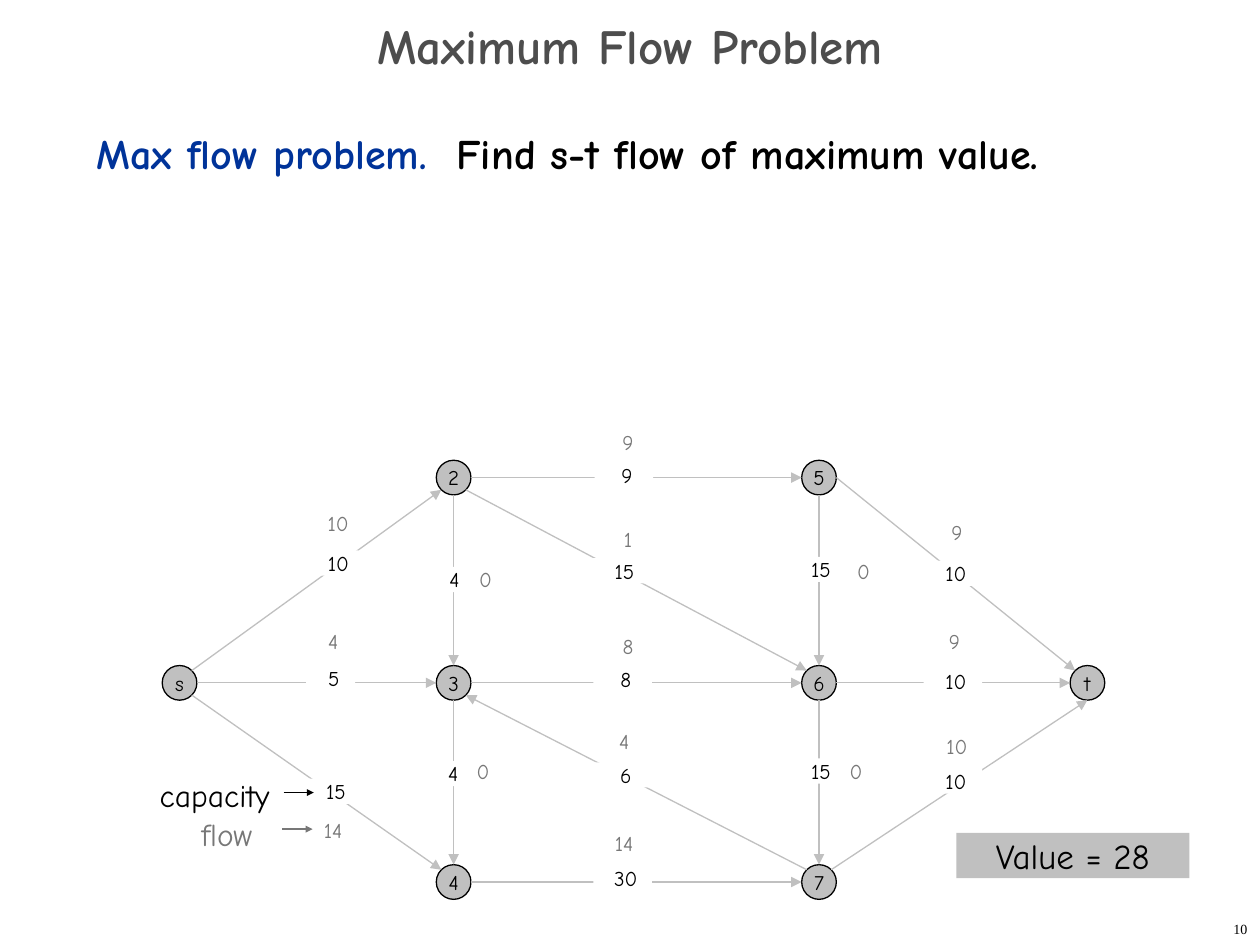
from lxml import etree
from pptx import Presentation
from pptx.dml.color import RGBColor
from pptx.enum.shapes import MSO_CONNECTOR, MSO_SHAPE
from pptx.enum.text import MSO_ANCHOR, MSO_AUTO_SIZE, PP_ALIGN
from pptx.oxml.ns import qn
from pptx.util import Pt

LEFT, CENTER, RIGHT = PP_ALIGN.LEFT, PP_ALIGN.CENTER, PP_ALIGN.RIGHT
TOP, MIDDLE = MSO_ANCHOR.TOP, MSO_ANCHOR.MIDDLE
NO_AUTOFIT = MSO_AUTO_SIZE.NONE
OVAL, RECTANGLE = MSO_SHAPE.OVAL, MSO_SHAPE.RECTANGLE
STRAIGHT = MSO_CONNECTOR.STRAIGHT

FONT = "Comic Neue"
BLACK, WHITE, SILVER, GRAY = "000000", "FFFFFF", "C0C0C0", "777777"
RADIUS = 9.9


def write(shape, runs, size, align=CENTER, anchor=TOP, margins=(0, 0),
          wrap=True, bold=False, font=FONT):
    """Fill a shape with one paragraph of (text, colour) runs."""
    frame = shape.text_frame
    frame.auto_size = NO_AUTOFIT
    frame.word_wrap = wrap
    frame.vertical_anchor = anchor
    frame.margin_left = frame.margin_right = Pt(margins[0])
    frame.margin_top = frame.margin_bottom = Pt(margins[1])
    paragraph = frame.paragraphs[0]
    paragraph.alignment = align
    for text, color in runs:
        run = paragraph.add_run()
        run.text = text
        run.font.name = font
        run.font.size = Pt(size)
        run.font.bold = bold
        run.font.color.rgb = RGBColor.from_string(color)
    return paragraph


def add_arrow(start, end, color, head_size="med"):
    arrow = slide.shapes.add_connector(STRAIGHT, *map(Pt, start + end))
    arrow.line.color.rgb = RGBColor.from_string(color)
    arrow.line.width = Pt(0.75)
    etree.SubElement(arrow.line._get_or_add_ln(), qn("a:tailEnd"),
                     type="triangle", w=head_size, len=head_size)
    etree.SubElement(arrow._element.spPr, qn("a:effectLst"))


presentation = Presentation()
presentation.slide_width, presentation.slide_height = Pt(720), Pt(540)
slide = presentation.slides.add_slide(presentation.slide_layouts[5])

# Title
title = slide.shapes.title
title.left, title.top, title.width, title.height = Pt(0), Pt(12), Pt(720), Pt(36)
paragraph = write(title, [("Maximum Flow Problem", "4D4D4D")], 28,
                  anchor=MIDDLE, margins=(7.2, 3.6), bold=True)
paragraph.line_spacing = 0.7

# Problem statement
statement = slide.shapes.add_textbox(Pt(48), Pt(72), Pt(618), Pt(426))
paragraph = write(statement, [("Max flow problem.  ", "003399"),
                              ("Find s-t flow of maximum value.", BLACK)],
                  24, LEFT, margins=(7.2, 3.6), bold=True)
paragraph.line_spacing = Pt(26)

# Node centres and the places on a node where edges attach
columns = (102.6, 259.2, 468, 621.4)
rows = (272.9, 390.2, 504)
nodes = {
    "s": (columns[0], rows[1]),
    "2": (columns[1], rows[0]), "3": (columns[1], rows[1]), "4": (columns[1], rows[2]),
    "5": (columns[2], rows[0]), "6": (columns[2], rows[1]), "7": (columns[2], rows[2]),
    "t": (columns[3], rows[1]),
}
DIAGONAL = 7
ports = {
    "N": (0, -RADIUS), "S": (0, RADIUS), "W": (-RADIUS, 0), "E": (RADIUS, 0),
    "NW": (-DIAGONAL, -DIAGONAL), "NE": (DIAGONAL, -DIAGONAL),
    "SW": (-DIAGONAL, DIAGONAL), "SE": (DIAGONAL, DIAGONAL),
}

# Edges: source, port, target, port,
# capacity, its left, top, width and indent, flow, its left and top
edges = [
    ("s", "NE", "2", "SW", "10", 171.4, 314.6, 33.5, 10.5, "10", 180, 291.6),
    ("s", "E", "3", "W", "5", 175, 380.2, 28, 3.5, "4", 177.1, 359.3),
    ("s", "SE", "4", "NW", "15", 173.5, 445, 33.5, 3.5, "14", 177.1, 467.3),
    ("2", "E", "5", "W", "9", 339.8, 264.2, 33.5, 3.5, "9", 345.6, 245.5),
    ("2", "SE", "6", "NW", "15", 338.4, 319, 33.5, 3.5, "1", 345.6, 301),
    ("2", "S", "3", "N", "4", 241.2, 324, 33.5, 3.5, "0", 264.2, 324),
    ("3", "E", "6", "W", "8", 339.1, 380.9, 33.5, 3.5, "8", 345.6, 362.2),
    ("3", "S", "4", "N", "4", 240.5, 434.9, 33.5, 3.5, "0", 262.8, 433.4),
    ("7", "NW", "3", "SE", "6", 339.1, 435.6, 33.5, 3.5, "4", 343.4, 416.2),
    ("4", "E", "7", "W", "30", 339.1, 494.6, 33.5, 3.5, "14", 343.4, 474.5),
    ("5", "S", "6", "N", "15", 450.7, 318.2, 33.5, 3.5, "0", 480.2, 319),
    ("6", "S", "7", "N", "15", 450.7, 433.4, 33.5, 3.5, "0", 475.9, 433.4),
    ("5", "E", "t", "NW", "10", 524.2, 320.4, 33.5, 10.5, "9", 533.5, 296.6),
    ("6", "E", "t", "W", "10", 527.8, 382.3, 33.5, 3.5, "9", 532.1, 359.3),
    ("7", "NE", "t", "S", "10", 527.8, 439.2, 33.5, 3.5, "10", 533.5, 419),
]

# Nodes
for name, (x, y) in nodes.items():
    node = slide.shapes.add_shape(OVAL, Pt(x - RADIUS), Pt(y - RADIUS),
                                  Pt(2 * RADIUS), Pt(2 * RADIUS))
    node.shadow.inherit = False
    node.fill.solid()
    node.fill.fore_color.rgb = RGBColor.from_string(SILVER)
    node.line.color.rgb = RGBColor.from_string(BLACK)
    node.line.width = Pt(0.75)
    write(node, [(name, BLACK)], 12, anchor=MIDDLE, wrap=False)

# Edge arrows, capacities over the arrows and flows beside them
for (source, source_port, target, target_port, capacity, left, top, width,
     indent, flow, flow_left, flow_top) in edges:
    start, end = (
        tuple(a + b for a, b in zip(nodes[node_name], ports[port]))
        for node_name, port in ((source, source_port), (target, target_port)))
    add_arrow(start, end, SILVER)

    label = slide.shapes.add_shape(RECTANGLE, Pt(left), Pt(top), Pt(width), Pt(14.4))
    label.shadow.inherit = False
    label.fill.solid()
    label.fill.fore_color.rgb = RGBColor.from_string(WHITE)
    label.line.fill.background()
    write(label, [(capacity, BLACK)], 12)
    label.text_frame.margin_left = Pt(indent)

    flow_label = slide.shapes.add_textbox(Pt(flow_left), Pt(flow_top), Pt(26.6), Pt(13.7))
    write(flow_label, [(flow, GRAY)], 12)

# Legend
for text, color, left, top, width, arrow_left, arrow_y in (
        ("capacity", BLACK, 84.2, 439.9, 77, 162, 452.9),
        ("flow", GRAY, 108, 462.2, 44, 161.3, 473.8)):
    legend = slide.shapes.add_textbox(Pt(left), Pt(top), Pt(width), Pt(28.8))
    write(legend, [(text, color)], 18, LEFT, margins=(7.2, 3.6), wrap=False)
    add_arrow((arrow_left, arrow_y), (arrow_left + 17.3, arrow_y), color, "sm")

# Flow value
value = slide.shapes.add_shape(RECTANGLE, Pt(546.5), Pt(475.9), Pt(133.2), Pt(25.9))
value.shadow.inherit = False
value.fill.solid()
value.fill.fore_color.rgb = RGBColor.from_string(SILVER)
value.line.fill.background()
write(value, [("Value = 28", BLACK)], 20, anchor=MIDDLE, margins=(7.2, 0))

# Slide number
number = slide.shapes.add_textbox(Pt(570), Pt(522), Pt(150), Pt(18))
write(number, [("10", BLACK)], 8, RIGHT, MIDDLE, (7.2, 3.6), font="Times New Roman")

presentation.save("out.pptx")
